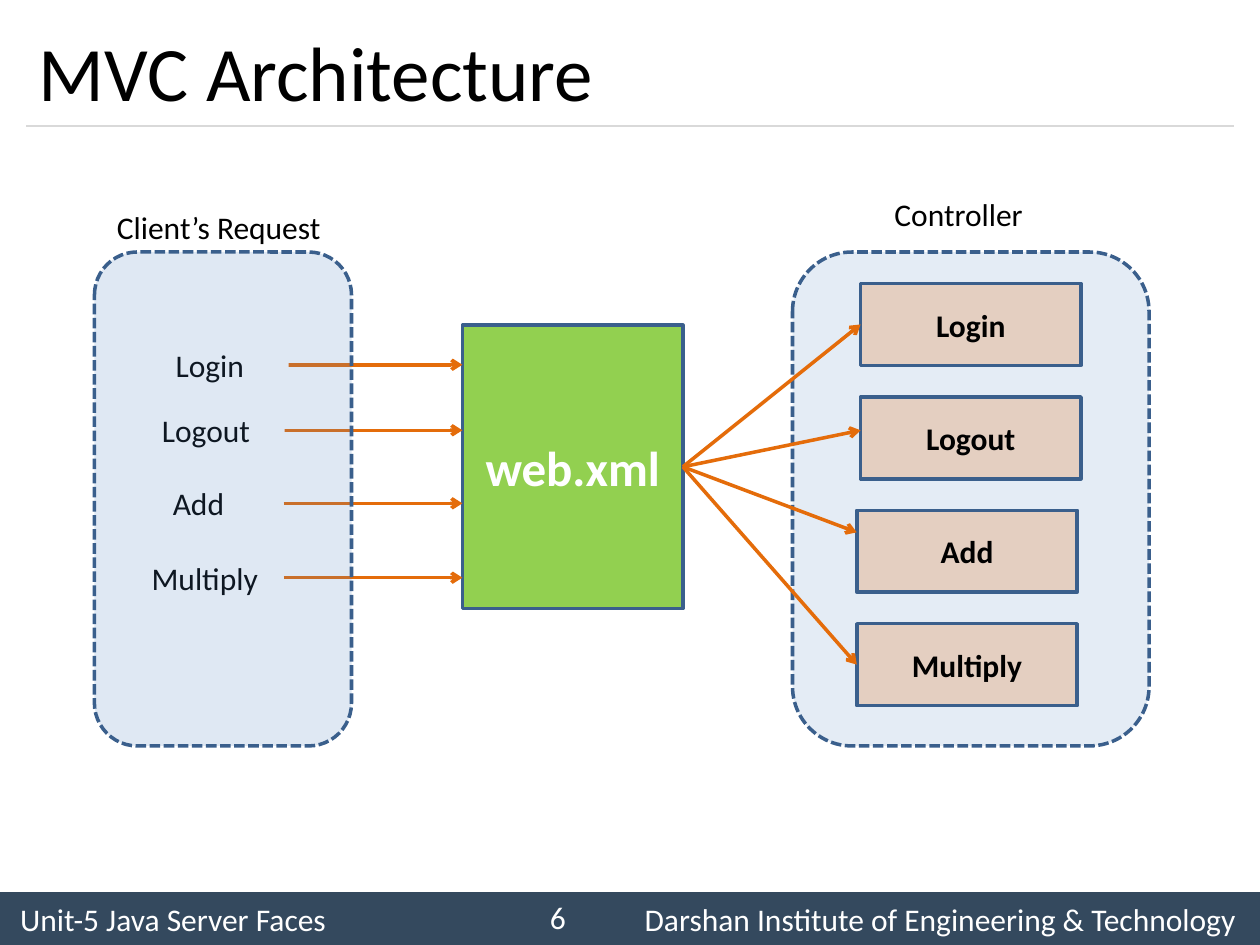
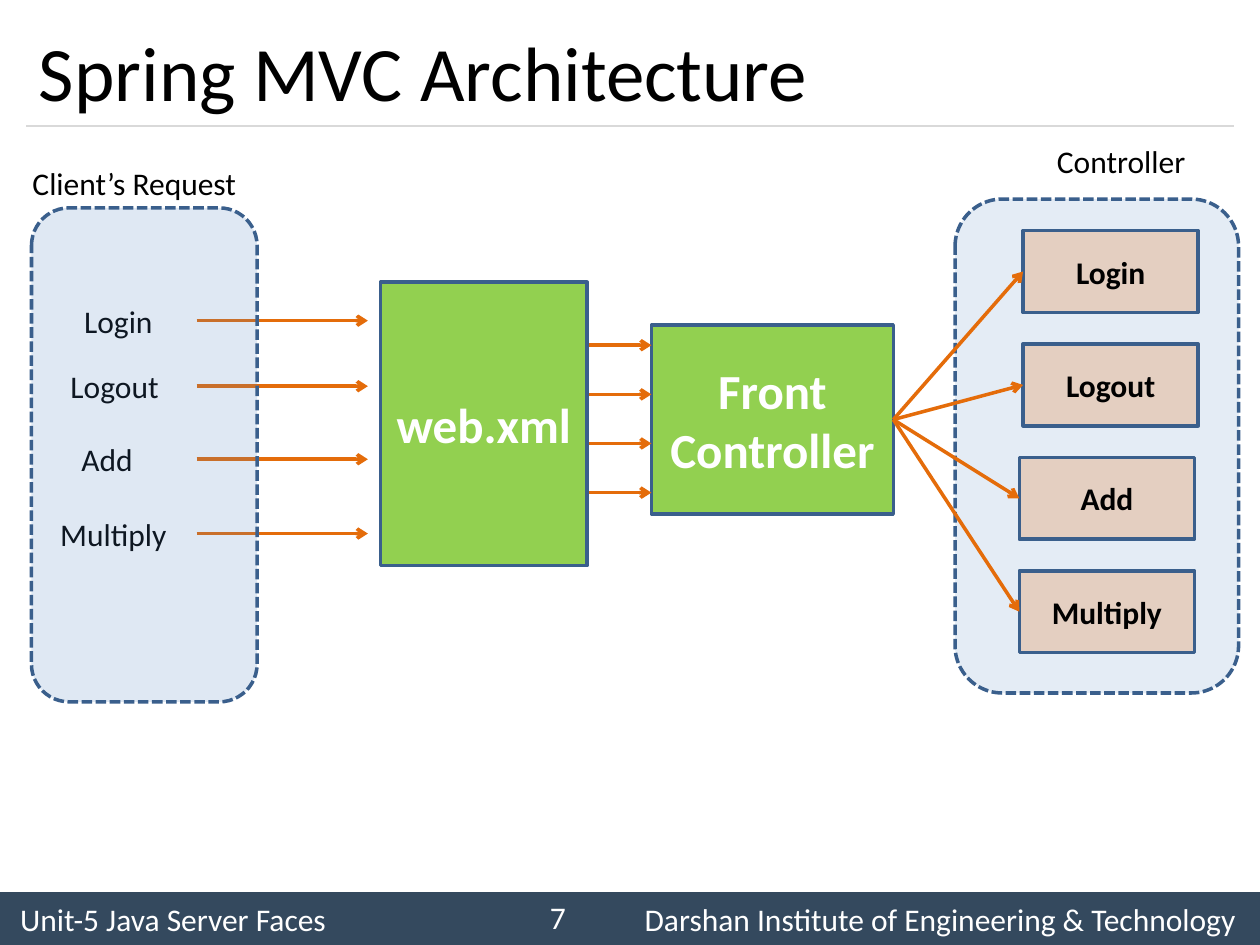
from dataclasses import dataclass

from lxml import etree
from pptx import Presentation
from pptx.dml.color import RGBColor
from pptx.enum.dml import MSO_LINE
from pptx.enum.shapes import MSO_CONNECTOR, MSO_SHAPE
from pptx.enum.text import MSO_ANCHOR, PP_ALIGN
from pptx.oxml.ns import qn
from pptx.util import Inches, Pt

RECT = MSO_SHAPE.RECTANGLE
ROUND = MSO_SHAPE.ROUNDED_RECTANGLE
STRAIGHT = MSO_CONNECTOR.STRAIGHT
DASH = MSO_LINE.SQUARE_DOT
LEFT, CENTER, RIGHT = PP_ALIGN.LEFT, PP_ALIGN.CENTER, PP_ALIGN.RIGHT
TOP, MIDDLE = MSO_ANCHOR.TOP, MSO_ANCHOR.MIDDLE
LEFT_SIDE, RIGHT_SIDE = 1, 3


@dataclass(frozen=True)
class Theme:
    font: str = "Calibri"
    title_size: int = 44
    stage_size: int = 28
    body_size: int = 18
    line_width: float = 2
    rule_width: float = 0.75
    text: str = "000000"
    light: str = "FFFFFF"
    band: str = "34495E"
    rule: str = "D9D9D9"
    outline: str = "3A5F8C"
    panel: str = "4F81BD"
    stage: str = "92D050"
    accent: str = "E46C0A"
    client_alpha: int = 18
    controller_alpha: int = 15
    handler_alpha: int = 22


THEME = Theme()
ACTIONS = ("Login", "Logout", "Add", "Multiply")
LABEL_X = (0.09, 0.06, 0, 0.05)
LABEL_Y = (0.73, 1.25, 1.83, 2.42)
HANDLER_X = (0.54, 0.54, 0.51, 0.51)
HANDLER_H, HANDLER_PITCH = 0.65, 0.9
LABEL_H = 0.33


def rgb(color):
    return RGBColor.from_string(color)


def write(sp, text, size=THEME.body_size, color=THEME.text, bold=False,
          align=LEFT, anchor=TOP):
    tf = sp.text_frame
    tf.word_wrap = True
    tf.vertical_anchor = anchor
    p = tf.paragraphs[0]
    p.text = text
    p.alignment = align
    font = p.runs[0].font
    font.name, font.size, font.bold = THEME.font, Pt(size), bold
    font.color.rgb = rgb(color)


def add_text(slide, box, text, **style):
    sp = slide.shapes.add_textbox(*map(Inches, box))
    write(sp, text, **style)
    return sp


def add_block(slide, kind, box, fill, alpha=None, outlined=True):
    sp = slide.shapes.add_shape(kind, *map(Inches, box))
    sp.shadow.inherit = False
    sp.fill.solid()
    sp.fill.fore_color.rgb = rgb(fill)
    if alpha:
        color = sp.fill._xPr.find(".//" + qn("a:srgbClr"))
        etree.SubElement(color, qn("a:alpha"), val=str(alpha * 1000))
    if outlined:
        sp.line.color.rgb = rgb(THEME.outline)
        sp.line.width = Pt(THEME.line_width)
    else:
        sp.line.fill.background()
    return sp


def add_line(slide, x1, y1, x2, y2, color, width):
    cx = slide.shapes.add_connector(STRAIGHT, *map(Inches, (x1, y1, x2, y2)))
    cx.line.color.rgb = rgb(color)
    cx.line.width = Pt(width)
    etree.SubElement(cx._element.spPr, qn("a:effectLst"))
    return cx


def add_arrow(slide, x1, y1, x2, y2):
    cx = add_line(slide, x1, y1, x2, y2, THEME.accent, THEME.line_width)
    etree.SubElement(cx.line._get_or_add_ln(), qn("a:tailEnd"), type="arrow")
    return cx


def add_frame(slide, title, number):
    band = add_block(slide, RECT, (0, 7.08, 10, 0.42), THEME.band, outlined=False)
    band.text_frame.margin_left = Inches(0.16)
    pPr = band.text_frame.paragraphs[0]._p.get_or_add_pPr()
    tabs = etree.SubElement(pPr, qn("a:tabLst"))
    etree.SubElement(tabs, qn("a:tab"), pos=str(Inches(9.65)), algn="r")
    write(band, "Unit-5 Java Server Faces\tDarshan Institute of Engineering & Technology",
          color=THEME.light, anchor=MIDDLE)
    add_line(slide, 0.21, 1, 9.79, 1, THEME.rule, THEME.rule_width)
    add_text(slide, (0.21, 0.12, 9.58, 0.88), title, size=THEME.title_size, anchor=MIDDLE)
    add_text(slide, (3.92, 7.08, 0.67, 0.4), str(number),
             color=THEME.light, align=RIGHT, anchor=MIDDLE)


def add_stage(slide, box, text):
    sp = add_block(slide, RECT, box, THEME.stage)
    write(sp, text, size=THEME.stage_size, color=THEME.light, bold=True,
          align=CENTER, anchor=MIDDLE)
    return sp


def add_client(slide, box, label_indent, label_w, arrow_span, heading_dx):
    x, y, w, h = box
    start, end = arrow_span
    for action, dx, dy in zip(ACTIONS, LABEL_X, LABEL_Y):
        middle = y + dy + LABEL_H / 2
        add_arrow(slide, x + start, middle, x + end, middle)
        label = add_block(slide, ROUND, (x + label_indent + dx, y + dy, label_w, LABEL_H),
                          THEME.light, outlined=False)
        write(label, action, align=CENTER, anchor=MIDDLE)
    panel = add_block(slide, ROUND, box, THEME.panel, THEME.client_alpha)
    panel.line.dash_style = DASH
    add_text(slide, (x + heading_dx, y - 0.4, 1.96, 0.4), "Client’s Request")


def add_controller(slide, box, handler_w, source, source_box, end_shifts=(0, 0, 0, 0)):
    x, y, w, h = box
    panel = add_block(slide, ROUND, box, THEME.panel, THEME.controller_alpha)
    panel.line.dash_style = DASH
    add_text(slide, (x + 0.71, y - 0.5, 1.58, 0.42), "Controller")
    sx, sy, sw, sh = source_box
    for i, (action, dx, shift) in enumerate(zip(ACTIONS, HANDLER_X, end_shifts)):
        top = y + 0.25 + i * HANDLER_PITCH
        handler = add_block(slide, RECT, (x + dx, top, handler_w, HANDLER_H),
                            THEME.accent, THEME.handler_alpha)
        write(handler, action, bold=True, align=CENTER, anchor=MIDDLE)
        arrow = add_arrow(slide, sx + sw, sy + sh / 2,
                          x + dx, top + HANDLER_H / 2 + shift)
        arrow.begin_connect(source, RIGHT_SIDE)
        if not shift:
            arrow.end_connect(handler, LEFT_SIDE)


def add_mvc_slide(slide):
    add_frame(slide, "MVC Architecture", 6)
    web_box = (3.67, 2.58, 1.75, 2.25)
    web = add_stage(slide, web_box, "web.xml")
    add_controller(slide, (6.29, 2, 2.83, 3.92), 1.75, web, web_box, (0, -0.06, -0.15, 0))
    add_client(slide, (0.75, 2, 2.04, 3.92), 0.2, 1.25, (1.5, 2.92), 0.08)


def add_spring_slide(slide):
    add_frame(slide, "Spring MVC Architecture", 7)
    web_x, web_w = 3.02, 1.64
    front_box = front_x, front_y, _, _ = (5.17, 2.58, 1.92, 1.5)
    front = add_stage(slide, front_box, "Front Controller")
    for i in range(len(ACTIONS)):
        y = front_y + 0.16 + i * 0.39
        add_arrow(slide, web_x + web_w, y, front_x, y)
    add_stage(slide, (web_x, 2.24, web_w, 2.25), "web.xml")
    add_client(slide, (0.25, 1.65, 1.79, 3.92), 0, 1.2, (1.31, 2.67), -0.09)
    add_controller(slide, (7.58, 1.58, 2.25, 3.92), 1.39, front, front_box)


def main():
    prs = Presentation()
    prs.slide_width, prs.slide_height = Inches(10), Inches(7.5)
    for build in (add_mvc_slide, add_spring_slide):
        build(prs.slides.add_slide(prs.slide_layouts[6]))
    prs.save("out.pptx")


if __name__ == "__main__":
    main()
